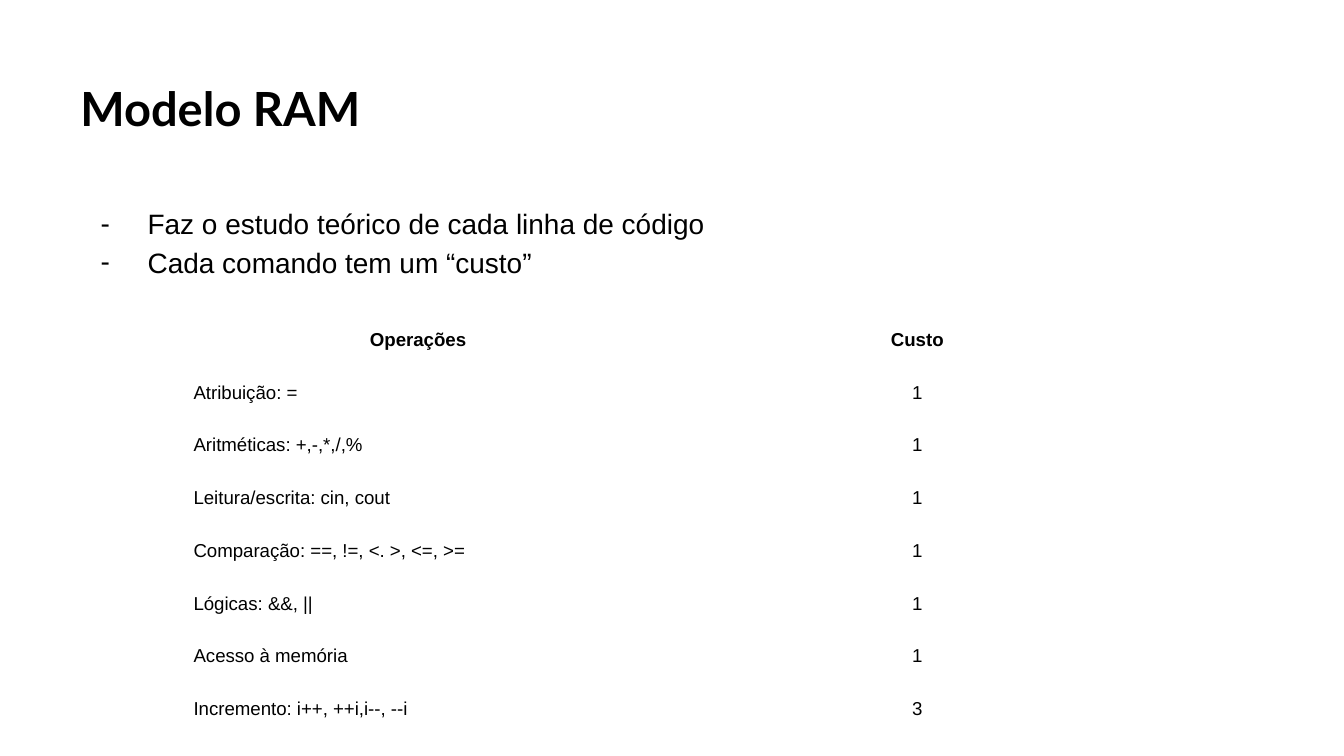
from dataclasses import dataclass

from lxml.etree import SubElement
from pptx import Presentation
from pptx.dml.color import RGBColor
from pptx.enum.text import MSO_ANCHOR, PP_ALIGN
from pptx.oxml.ns import qn
from pptx.util import Inches, Pt


@dataclass(frozen=True)
class Theme:
    ink: str = "000000"
    paper: str = "FFFFFF"
    title_font: str = "Lato"
    body_font: str = "Arial"
    title_size: float = 25.2
    body_size: float = 15
    table_size: float = 10
    line_spacing: float = 1.15


THEME = Theme()
INSET = Inches(0.1)
NO_STYLE_NO_GRID = "{2D5ABB26-0587-4C30-8999-92F81FD0307C}"

POINTS = [
    "Faz o estudo teórico de cada linha de código",
    "Cada comando tem um “custo”",
]
COSTS = [
    ("Operações", "Custo"),
    ("Atribuição: =", "1"),
    ("Aritméticas: +,-,*,/,%", "1"),
    ("Leitura/escrita: cin, cout", "1"),
    ("Comparação: ==, !=, <. >, <=, >=", "1"),
    ("Lógicas: &&, ||", "1"),
    ("Acesso à memória", "1"),
    ("Incremento: i++, ++i,i--, --i", "3"),
]


def set_insets(target):
    target.margin_left = target.margin_right = INSET
    target.margin_top = target.margin_bottom = INSET


def style_paragraph(paragraph, font_name, size, bold=False):
    font = paragraph.font
    font.name = font_name
    font.size = Pt(size)
    font.bold = bold
    font.color.rgb = RGBColor.from_string(THEME.ink)


def add_dash(paragraph):
    properties = paragraph._p.get_or_add_pPr()
    properties.set("marL", str(Inches(0.5)))
    properties.set("indent", str(Inches(-0.35)))
    color = SubElement(properties, qn("a:buClr"))
    SubElement(color, qn("a:srgbClr"), val=THEME.ink)
    SubElement(properties, qn("a:buFont"), typeface=THEME.body_font)
    SubElement(properties, qn("a:buChar"), char="-")


def add_text_frame(slide, left, top, width, height):
    frame = slide.shapes.add_textbox(
        Inches(left), Inches(top), Inches(width), Inches(height)).text_frame
    frame.word_wrap = True
    frame.vertical_anchor = MSO_ANCHOR.MIDDLE
    set_insets(frame)
    return frame


def add_title(slide, text):
    title = add_text_frame(slide, 0.5, 0.49, 9, 0.63).paragraphs[0]
    title.text = text
    style_paragraph(title, THEME.title_font, THEME.title_size, bold=True)


def add_points(slide, points):
    frame = add_text_frame(slide, 0.5, 1.25, 7.5, 1.08)
    frame.text = "\n".join(points)
    for point in frame.paragraphs:
        point.line_spacing = THEME.line_spacing
        add_dash(point)
        style_paragraph(point, THEME.body_font, THEME.body_size)


def fill_cell(cell, text, centered, bold):
    cell.fill.background()
    set_insets(cell)
    cell.text = text
    paragraph = cell.text_frame.paragraphs[0]
    paragraph.alignment = PP_ALIGN.CENTER if centered else PP_ALIGN.LEFT
    paragraph.line_spacing = THEME.line_spacing
    style_paragraph(paragraph, THEME.body_font, THEME.table_size, bold)


def add_cost_table(slide, rows):
    widths = (3.54, 3.89)
    row_height = Inches(0.38)
    costs = slide.shapes.add_table(
        len(rows), len(widths), Inches(1.34), Inches(2.33),
        Inches(sum(widths)), row_height * len(rows)).table
    costs.first_row = costs.horz_banding = False
    costs._tbl.tblPr.find(qn("a:tableStyleId")).text = NO_STYLE_NO_GRID
    for column, width in zip(costs.columns, widths):
        column.width = Inches(width)
    for r, row in enumerate(rows):
        costs.rows[r].height = row_height
        for c, text in enumerate(row):
            header = r == 0
            fill_cell(costs.cell(r, c), text, header or c == 1, header)


def main():
    # Widescreen 16:9 page
    presentation = Presentation()
    presentation.slide_width = Inches(10)
    presentation.slide_height = Inches(10 * 9 / 16)
    slide = presentation.slides.add_slide(presentation.slide_layouts[6])
    slide.background.fill.solid()
    slide.background.fill.fore_color.rgb = RGBColor.from_string(THEME.paper)

    # Heading and introduction
    add_title(slide, "Modelo RAM")
    add_points(slide, POINTS)

    # Cost of each operation
    add_cost_table(slide, COSTS)

    presentation.save("out.pptx")


if __name__ == "__main__":
    main()
